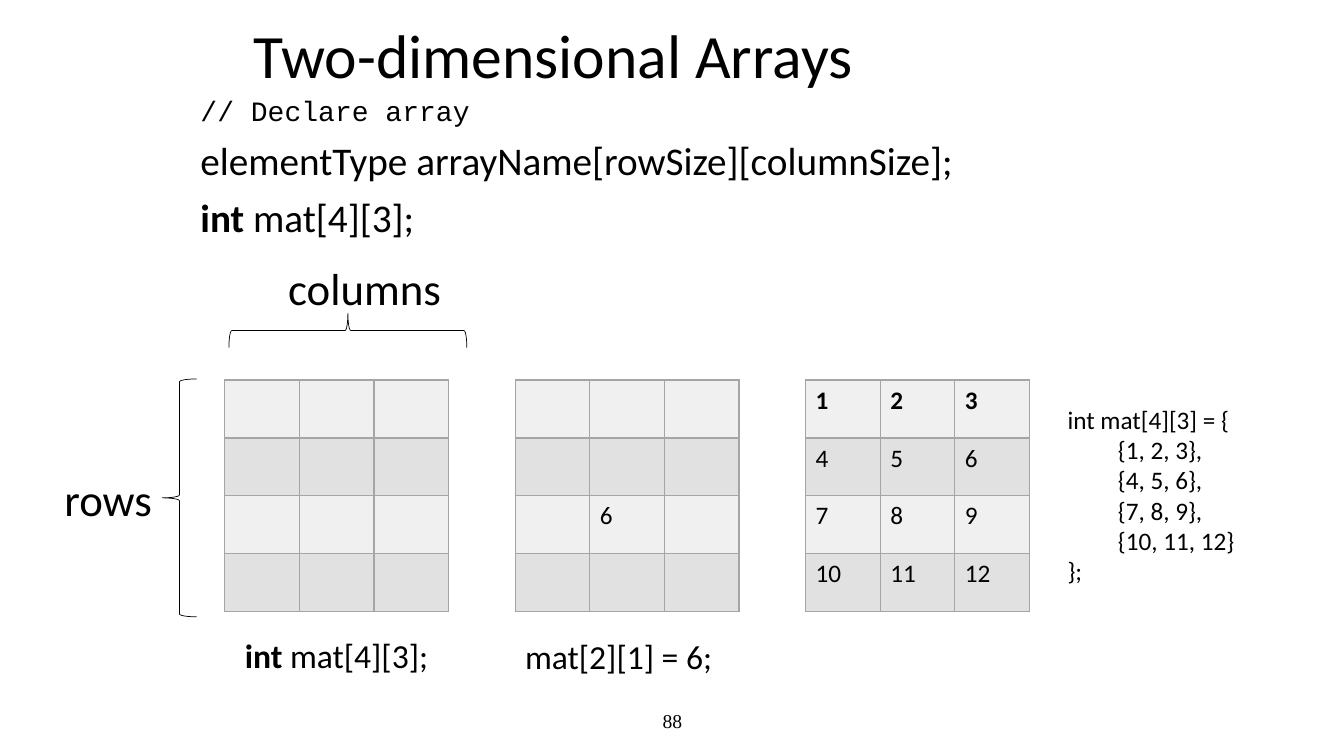
from lxml import etree
from pptx import Presentation
from pptx import util as u
from pptx.dml.color import RGBColor
from pptx.enum import shapes, text
from pptx.oxml import ns

COLORS = {"ink": "000000", "grid": "A5A5A5", "light": "F0F0F0", "dark": "E1E1E1"}
ROWS, COLUMNS = 4, 3
GRID_SIZE = (2.22, 2.3)
GRID_TOP = 3.77


def color(name):
    return RGBColor.from_string(COLORS[name])


def style(para, size, font="Calibri", bold_words=()):
    for span in para.runs:
        span.font.size = u.Pt(size)
        span.font.name = font
        span.font.color.rgb = color("ink")
        span.font.bold = span.text in bold_words


def add_text(page, box, lines, size, font="Calibri", wrap=False):
    """Place a text box; each line is a string or a list of run strings."""
    frame = page.shapes.add_textbox(*map(u.Inches, box)).text_frame
    frame.word_wrap = wrap
    frame.auto_size = text.MSO_AUTO_SIZE.NONE if wrap else text.MSO_AUTO_SIZE.SHAPE_TO_FIT_TEXT
    for index, line in enumerate(lines):
        para = frame.paragraphs[0] if index == 0 else frame.add_paragraph()
        for words in [line] if isinstance(line, str) else line:
            para.add_run().text = words
        style(para, size, font, bold_words=("int",))
    return frame


def add_brace(page, box, rotation=0):
    brace = page.shapes.add_shape(shapes.MSO_SHAPE.LEFT_BRACE, *map(u.Inches, box))
    brace.rotation = rotation
    brace.shadow.inherit = False
    brace.fill.background()
    brace.line.color.rgb = color("ink")
    brace.line.width = u.Pt(0.5)


def add_cell_borders(cell):
    properties = cell._tc.get_or_add_tcPr()
    for index, side in enumerate(("lnL", "lnR", "lnT", "lnB")):
        line = etree.Element(ns.qn(f"a:{side}"), w=str(u.Pt(1)))
        fill = etree.SubElement(line, ns.qn("a:solidFill"))
        etree.SubElement(fill, ns.qn("a:srgbClr"), val=COLORS["grid"])
        properties.insert(index, line)


def add_matrix(page, left, values, bold_words=()):
    """Draw a banded matrix; values maps (row, column) to a number."""
    width, height = GRID_SIZE
    box = (left, GRID_TOP, width, height)
    table = page.shapes.add_table(ROWS, COLUMNS, *map(u.Inches, box)).table
    table.first_row = table.horz_banding = False
    for row in range(ROWS):
        for column in range(COLUMNS):
            cell = table.cell(row, column)
            cell.fill.solid()
            cell.fill.fore_color.rgb = color("dark" if row % 2 else "light")
            add_cell_borders(cell)
            if (row, column) in values:
                cell.text_frame.text = str(values[row, column])
                style(cell.text_frame.paragraphs[0], 18, bold_words=bold_words)


def add_heading(page, box):
    frame = add_text(page, box, ["Two-dimensional Arrays"], 44, wrap=True)
    frame.vertical_anchor = text.MSO_ANCHOR.MIDDLE
    frame.paragraphs[0].line_spacing = 0.9


def add_declaration(page, box):
    lines = ["// Declare array", "elementType arrayName[rowSize][columnSize];",
             ["int", " mat[4][3];"]]
    frame = add_text(page, box, lines, 28, wrap=True)
    style(frame.paragraphs[0], 20, "Courier New")
    for index, para in enumerate(frame.paragraphs):
        para.line_spacing = 0.9
        para.space_before = u.Pt(10 if index else 0)


def add_page_number(page, box):
    frame = add_text(page, box, ["88"], 14, "Times New Roman", wrap=True)
    frame.vertical_anchor = text.MSO_ANCHOR.MIDDLE
    frame.paragraphs[0].alignment = text.PP_ALIGN.CENTER


def add_declared_matrix(page, left):
    add_matrix(page, left, {})
    add_brace(page, (left - 0.62, GRID_TOP - 0.01, 0.34, 2.36))
    add_text(page, (left - 1.69, GRID_TOP + 0.86, 1.08, 0.64), ["rows"], 32)
    add_brace(page, (left + 1.05, GRID_TOP - 1.67, 0.34, 2.36), rotation=90)
    add_text(page, (left + 0.53, GRID_TOP - 1.23, 1.74, 0.64), ["columns"], 32)
    add_text(page, (left + 0.1, 6.25, 2.04, 0.5), [["int", " mat[4][3];"]], 24)


def add_assigned_matrix(page, left):
    add_matrix(page, left, {(2, 1): 6})
    add_text(page, (left, 6.26, 2.07, 0.5), ["mat[2][1] = 6;"], 24)


def add_initialized_matrix(page, left):
    values = {(row, column): row * COLUMNS + column + 1
              for row in range(ROWS) for column in range(COLUMNS)}
    add_matrix(page, left, values, bold_words=("1", "2", "3"))
    code = ["int mat[4][3] = {", "\t{1, 2, 3},", "\t{4, 5, 6},",
            "\t{7, 8, 9},", "\t{10, 11, 12}", "};"]
    add_text(page, (left + 2.5, GRID_TOP + 0.19, 2.44, 1.92), code, 18)


def main():
    deck = Presentation()
    deck.slide_width, deck.slide_height = u.Inches(13.33), u.Inches(7.5)
    page = deck.slides.add_slide(deck.slide_layouts[6])
    add_page_number(page, (4.42, 6.95, 4.5, 0.4))
    add_heading(page, (2.42, 0, 8.5, 1.17))
    add_declaration(page, (1.89, 0.92, 9.17, 5.58))
    add_declared_matrix(page, 2.23)
    add_assigned_matrix(page, 5.11)
    add_initialized_matrix(page, 7.99)
    deck.save("out.pptx")


if __name__ == "__main__":
    main()
